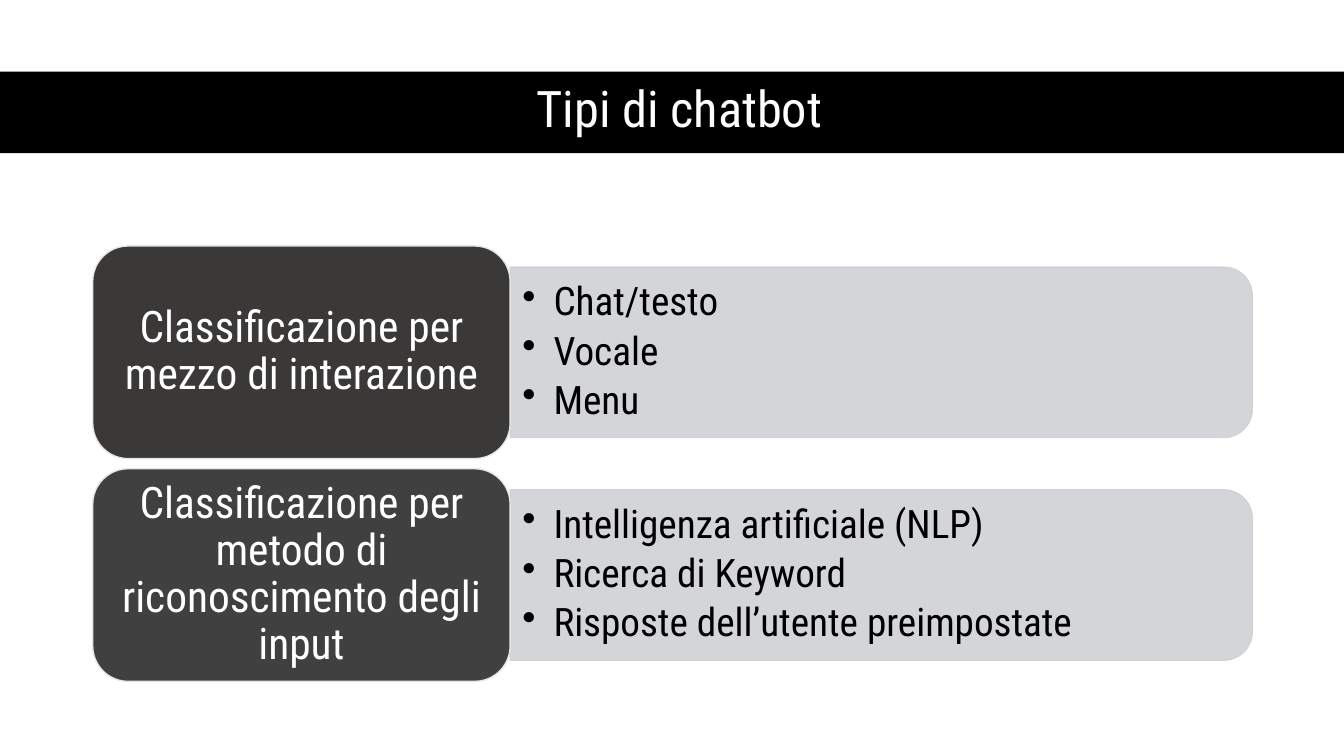
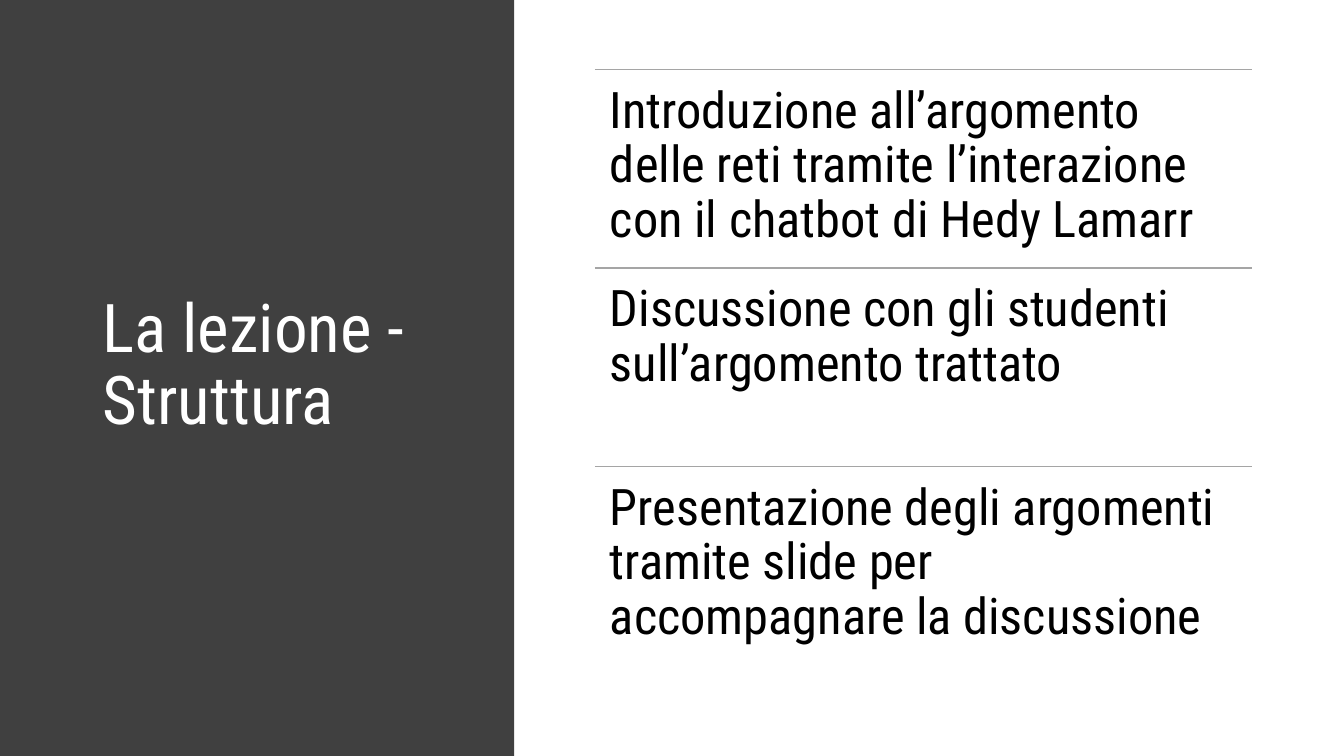
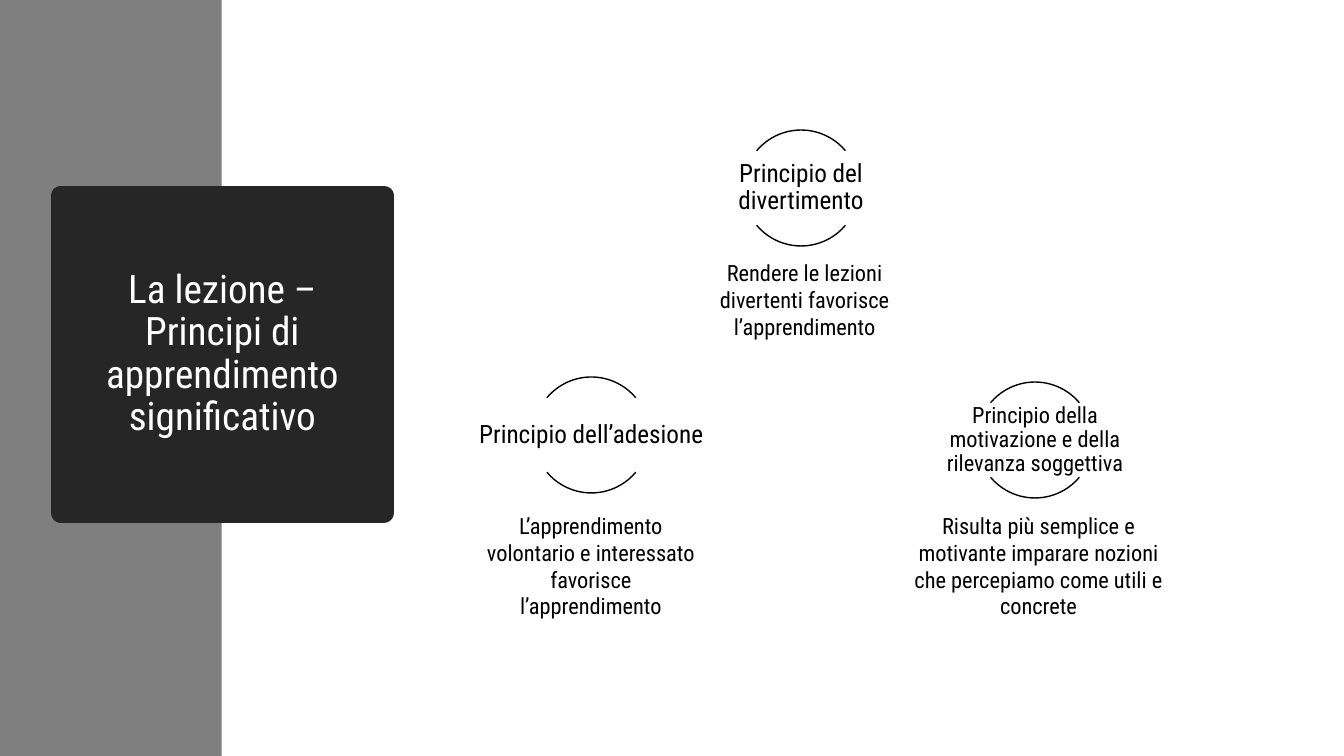
import pptx
import pptx.util
import pptx.dml.color
import pptx.enum.shapes
import pptx.enum.text
import pptx.oxml.ns
import lxml.etree

Inches = pptx.util.Inches
Pt = pptx.util.Pt
RGBColor = pptx.dml.color.RGBColor
Preset = pptx.enum.shapes.MSO_SHAPE
Align = pptx.enum.text.PP_ALIGN
Anchor = pptx.enum.text.MSO_ANCHOR
AutoSize = pptx.enum.text.MSO_AUTO_SIZE
qn = pptx.oxml.ns.qn

FONT = "Roboto Condensed"
WIDTH, HEIGHT = 13.33, 7.5
TITLE_ONLY = 5

BLACK = RGBColor(0x00, 0x00, 0x00)
WHITE = RGBColor(0xFF, 0xFF, 0xFF)
CHARCOAL = RGBColor(0x40, 0x40, 0x40)
WARM_CHARCOAL = RGBColor(0x3B, 0x38, 0x38)
INK = RGBColor(0x26, 0x26, 0x26)
MID_GRAY = RGBColor(0x7F, 0x7F, 0x7F)
RULE_GRAY = RGBColor(0xA5, 0xA5, 0xA5)
PALE_GRAY = RGBColor(0xCF, 0xD1, 0xD4)
EDGE_GRAY = RGBColor(0xE7, 0xE6, 0xE6)


def write(shape, text, size, color=BLACK, align=Align.LEFT, anchor=Anchor.TOP,
          insets=(0.1, 0.05), spacing=0.9):
    frame = shape.text_frame
    frame.text = text
    frame.word_wrap = True
    frame.auto_size = AutoSize.NONE
    frame.vertical_anchor = anchor
    frame.margin_left = frame.margin_right = Inches(insets[0])
    frame.margin_top = frame.margin_bottom = Inches(insets[1])
    for para in frame.paragraphs:
        para.alignment = align
        para.line_spacing = spacing
        for span in para.runs:
            span.font.name = FONT
            span.font.size = Pt(size)
            span.font.color.rgb = color


def add_text(page, area, text, size, **style):
    box = page.shapes.add_textbox(*map(Inches, area))
    write(box, text, size, **style)
    return box


def add_preset(page, preset, area, fill=None, line=None):
    shape = page.shapes.add_shape(preset, *map(Inches, area))
    shape.shadow.inherit = False
    if fill is None:
        shape.fill.background()
    else:
        shape.fill.solid()
        shape.fill.fore_color.rgb = fill
    if line is None:
        shape.line.fill.background()
    else:
        shape.line.color.rgb = line
        shape.line.width = Pt(1)
    return shape


def add_page(deck, title, area, size, align=Align.LEFT, band=None):
    page = deck.slides.add_slide(deck.slide_layouts[TITLE_ONLY])
    heading = page.shapes.title
    heading.left, heading.top, heading.width, heading.height = map(Inches, area)
    write(heading, title, size, color=WHITE, align=align, anchor=Anchor.MIDDLE)
    if band:
        band_area, band_color = band
        backdrop = add_preset(page, Preset.RECTANGLE, band_area, band_color)
        heading.element.addprevious(backdrop.element)
    return page


def make_translucent(shape, percent):
    for color in shape.element.spPr.iter(qn("a:srgbClr")):
        lxml.etree.SubElement(color, qn("a:alpha"), val=str(percent * 1000))


def add_bullets(box, indent, gap):
    for para in box.text_frame.paragraphs:
        para.space_after = Pt(gap)
        properties = para._p.get_or_add_pPr()
        properties.set("marL", str(Inches(indent)))
        properties.set("indent", str(-Inches(indent)))
        lxml.etree.SubElement(properties, qn("a:buChar"), char="•")


def add_category(page, top, label, items, fill):
    label_left, label_width, label_height = 0.92, 4.14, 2.11
    panel_width, panel_height = 7.36, 1.69
    panel_left = label_left + label_width
    middle = top + label_height / 2
    panel = add_preset(page, Preset.ROUND_2_SAME_RECTANGLE,
                       (panel_left + (panel_width - panel_height) / 2,
                        middle - panel_width / 2, panel_height, panel_width),
                       PALE_GRAY, PALE_GRAY)
    panel.rotation = 90
    make_translucent(panel, 90)
    listing = add_text(page, (panel_left, middle - 0.76, 7.28, 1.52),
                       "\n".join(items), 28, anchor=Anchor.MIDDLE,
                       insets=(0.12, 0.06))
    add_bullets(listing, 0.31, 4.9)
    card = add_preset(page, Preset.ROUNDED_RECTANGLE,
                      (label_left, top, label_width, label_height), fill, EDGE_GRAY)
    write(card, label, 31, color=WHITE, align=Align.CENTER,
          anchor=Anchor.MIDDLE, insets=(0.13, 0.06))


def add_step(page, top, height, text):
    left, width = 5.9, 6.52
    rule = page.shapes.add_connector(
        pptx.enum.shapes.MSO_CONNECTOR.STRAIGHT,
        Inches(left), Inches(top), Inches(left + width), Inches(top))
    rule.line.color.rgb = RULE_GRAY
    rule.line.width = Pt(1)
    lxml.etree.SubElement(rule.element.spPr, qn("a:effectLst"))
    add_text(page, (left, top, width, height), text, 36, insets=(0.15, 0.15))


def add_principle(page, left, top, name, size, detail, detail_area):
    diameter, name_width, name_height = 1.15, 2.3, 0.74
    for start, end in ((220, 320), (40, 140)):
        arc = add_preset(page, Preset.ARC, (left, top, diameter, diameter), line=BLACK)
        arc.adjustments[0] = start * 0.6
        arc.adjustments[1] = end * 0.6
    add_text(page, (left + (diameter - name_width) / 2,
                    top + (diameter - name_height) / 2, name_width, name_height),
             name, size, align=Align.CENTER, anchor=Anchor.MIDDLE, insets=(0.01, 0.01))
    note = add_text(page, detail_area, detail, 16, align=Align.CENTER, spacing=1.0)
    note.text_frame.auto_size = AutoSize.SHAPE_TO_FIT_TEXT


def build_types(deck):
    page = add_page(deck, "Tipi di chatbot", (0.61, 0.7, 12.26, 0.81), 36,
                    Align.CENTER, ((0, 0.71, WIDTH, 0.81), BLACK))
    categories = (
        ("Classificazione per mezzo di interazione",
         ("Chat/testo", "Vocale", "Menu"), WARM_CHARCOAL),
        ("Classificazione per metodo di riconoscimento degli input",
         ("Intelligenza artificiale (NLP)", "Ricerca di Keyword",
          "Risposte dell’utente preimpostate"), CHARCOAL),
    )
    for row, (label, items, fill) in enumerate(categories):
        add_category(page, 2.44 + row * 2.21, label, items, fill)


def build_structure(deck):
    page = add_page(deck, "La lezione - Struttura", (0.92, 0.68, 3.67, 5.92), 48,
                    band=((0, 0, 5.1, HEIGHT), CHARCOAL))
    steps = (
        "Introduzione all’argomento delle reti tramite l’interazione con il chatbot di Hedy Lamarr",
        "Discussione con gli studenti sull’argomento trattato",
        "Presentazione degli argomenti tramite slide per accompagnare la discussione",
    )
    height = 1.97
    for row, text in enumerate(steps):
        add_step(page, 0.69 + row * height, height, text)


def build_principles(deck):
    page = add_page(deck, "La lezione – Principi di apprendimento significativo",
                    (0.6, 1.94, 3.21, 3.15), 28, Align.CENTER,
                    ((0, 0, 2.2, HEIGHT), MID_GRAY))
    heading = page.shapes.title
    heading.fill.solid()
    heading.fill.fore_color.rgb = INK
    heading.line.color.rgb = INK
    heading.line.width = Pt(13.75)
    principles = (
        (7.37, 1.29, "Principio del divertimento", 18,
         "Rendere le lezioni divertenti favorisce l’apprendimento",
         (6.76, 2.52, 2.44, 0.64)),
        (5.29, 3.74, "Principio dell’adesione", 18,
         "L’apprendimento volontario e interessato favorisce l’apprendimento",
         (4.64, 5.03, 2.44, 0.91)),
        (9.69, 3.79, "Principio della motivazione e della rilevanza soggettiva", 16,
         "Risulta più semplice e motivante imparare nozioni che percepiamo come utili e concrete",
         (8.85, 5.03, 2.9, 0.91)),
    )
    for principle in principles:
        add_principle(page, *principle)


def main():
    deck = pptx.Presentation()
    deck.slide_width = Inches(WIDTH)
    deck.slide_height = Inches(HEIGHT)
    build_types(deck)
    build_structure(deck)
    build_principles(deck)
    deck.save("out.pptx")


if __name__ == "__main__":
    main()
